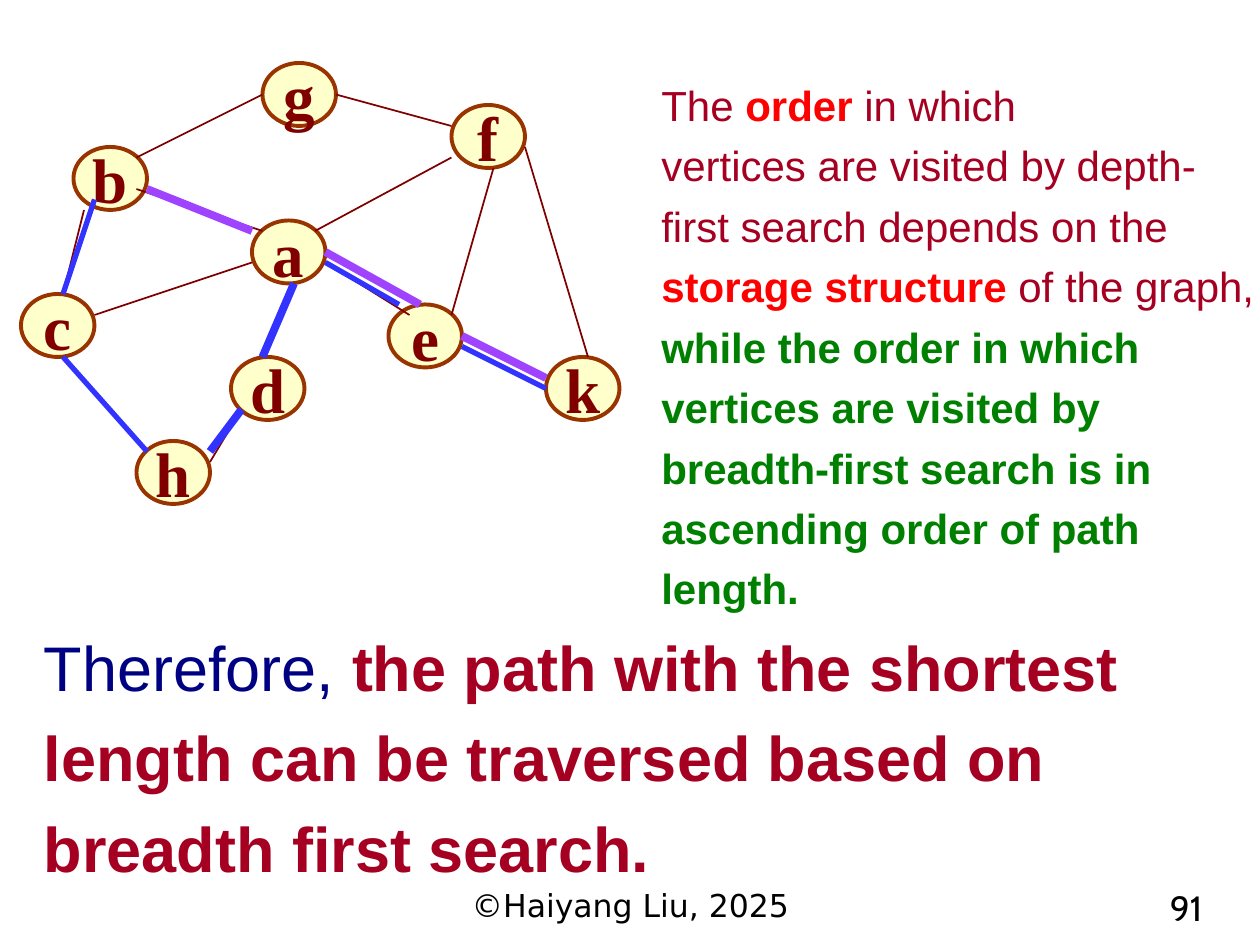
from pptx import Presentation
from pptx.dml.color import RGBColor
from pptx.enum.shapes import MSO_CONNECTOR as Connector, MSO_SHAPE as Shape
from pptx.enum.text import MSO_ANCHOR as Anchor, MSO_AUTO_SIZE as AutoSize, PP_ALIGN as Align
from pptx.oxml.ns import qn
from pptx.util import Inches, Pt
from lxml import etree

# The slide is a grid of 120 columns by 90 rows, twelve to the inch
COLUMNS, ROWS, PER_INCH = 120, 90, 12
NODE_WIDTH, NODE_HEIGHT = 7, 6
MAROON, BLUE, PURPLE = "800000", "3333FF", "A043FF"
CRIMSON, RED, GREEN, NAVY, BLACK = "A50021", "FF0000", "008000", "000082", "000000"

# Left column and top row of each vertex
VERTICES = {
    "a": (24, 21), "b": (7, 14), "c": (2, 28), "h": (13, 42), "d": (22, 34),
    "e": (37, 29), "k": (52, 34), "f": (43, 10), "g": (25, 6),
}

# Colour, width in points, and the (x1, y1, x2, y2) of each line
EDGE_SETS = [
    (MAROON, 1, [  # edges of the graph
        (24, 25, 9, 30), (6, 34, 14, 43), (32, 9, 43, 12), (28, 27, 25, 34),
        (23, 39, 20, 44), (44, 33, 52, 37), (31, 25, 39, 30), (50, 14, 56, 34),
        (47, 16, 43, 30), (13, 15, 25, 9), (13, 18, 25, 22), (43, 15, 30, 22),
        (8, 20, 6, 28)]),
    (BLUE, 3, [(9, 19, 6, 28), (6, 34, 14, 43)]),  # long path from b to k
    (BLUE, 4.5, [(23, 39, 20, 43), (28, 27, 25, 34)]),
    (BLUE, 3, [(31, 25, 38, 29), (44, 33, 52, 37)]),
    (PURPLE, 4.5, [(14, 18, 24, 22), (31, 24, 40, 29), (44, 32, 52, 36)]),  # shortest path
]


def grid(value):
    return Inches(value / PER_INCH)


def color(value):
    return RGBColor.from_string(value)


def add_text(paragraph, text, font="Arial", size=24, fill=BLACK, bold=False):
    run = paragraph.add_run()
    run.text = text
    run.font.name, run.font.size, run.font.bold = font, Pt(size), bold
    run.font.color.rgb = color(fill)


def text_box(slide, box, paragraphs, align=Align.LEFT, spacing=None, grow=False, **style):
    """Each paragraph is a list of (text, fill, bold) parts."""
    frame = slide.shapes.add_textbox(*map(grid, box)).text_frame
    frame.word_wrap = True
    frame.auto_size = AutoSize.SHAPE_TO_FIT_TEXT if grow else AutoSize.NONE
    for index, parts in enumerate(paragraphs):
        paragraph = frame.add_paragraph() if index else frame.paragraphs[0]
        paragraph.alignment = align
        paragraph.line_spacing = spacing
        for text, fill, bold in parts:
            add_text(paragraph, text, fill=fill, bold=bold, **style)


def add_vertex(slide, left, top, name):
    vertex = slide.shapes.add_shape(
        Shape.OVAL, *map(grid, (left, top, NODE_WIDTH, NODE_HEIGHT)))
    vertex.shadow.inherit = False
    vertex.fill.solid()
    vertex.fill.fore_color.rgb = color("FFFF99")
    fill = vertex.fill._xPr.find(qn("a:solidFill"))
    etree.SubElement(fill[0], qn("a:alpha"), val="50000")
    vertex.line.color.rgb = color("993300")
    vertex.line.width = Pt(2.25)
    frame = vertex.text_frame
    frame.word_wrap = False
    frame.vertical_anchor = Anchor.MIDDLE
    paragraph = frame.paragraphs[0]
    paragraph.alignment = Align.CENTER
    add_text(paragraph, name, font="Times New Roman", size=36, fill=MAROON, bold=True)


def add_edge(slide, ends, fill, width):
    edge = slide.shapes.add_connector(Connector.STRAIGHT, *map(grid, ends))
    edge.line.color.rgb = color(fill)
    edge.line.width = Pt(width)
    etree.SubElement(edge._element.spPr, qn("a:effectLst"))


def graph(slide, left, top):
    for name, (x, y) in VERTICES.items():
        add_vertex(slide, left + x, top + y, name)
    for fill, width, edges in EDGE_SETS:
        for x1, y1, x2, y2 in edges:
            add_edge(slide, (left + x1, top + y1, left + x2, top + y2), fill, width)


def conclusion(slide, box):
    text_box(slide, box, [[
        ("Therefore, ", NAVY, False),
        ("the path with the shortest length can be traversed based on "
         "breadth first search.", CRIMSON, True),
    ]], size=36, spacing=1.2, grow=True)


def explanation(slide, box):
    text_box(slide, box, [
        [("The ", CRIMSON, False), ("order", RED, True), (" in which", CRIMSON, False)],
        [("vertices are visited by depth-first search depends on the ", CRIMSON, False),
         ("storage structure ", RED, True),
         ("of the graph, ", CRIMSON, False),
         ("while the order in which vertices are visited by breadth-first search "
          "is in ascending order of path length.", GREEN, True)],
    ], size=24, spacing=1.2, grow=True)


def footer(slide, left, top, width, height):
    text_box(slide, (left, top, 0.51 * width, height), [[("©Haiyang Liu, 2025", BLACK, False)]],
             align=Align.CENTER, font="DejaVu Sans", size=18)
    number_width = 0.246 * width
    text_box(slide, (left + width - number_width, top, number_width, height),
             [[("91", BLACK, False)]], align=Align.RIGHT, font="Cabin", size=20)


def main():
    presentation = Presentation()
    presentation.slide_width, presentation.slide_height = grid(COLUMNS), grid(ROWS)
    slide = presentation.slides.add_slide(presentation.slide_layouts[6])
    graph(slide, 0, 0)
    conclusion(slide, (3, 57.8, 115, 27.4))
    explanation(slide, (61.8, 6, 59.2, 53.5))
    footer(slide, 41, 83.8, 74.7, 4.7)
    presentation.save("out.pptx")


if __name__ == "__main__":
    main()
